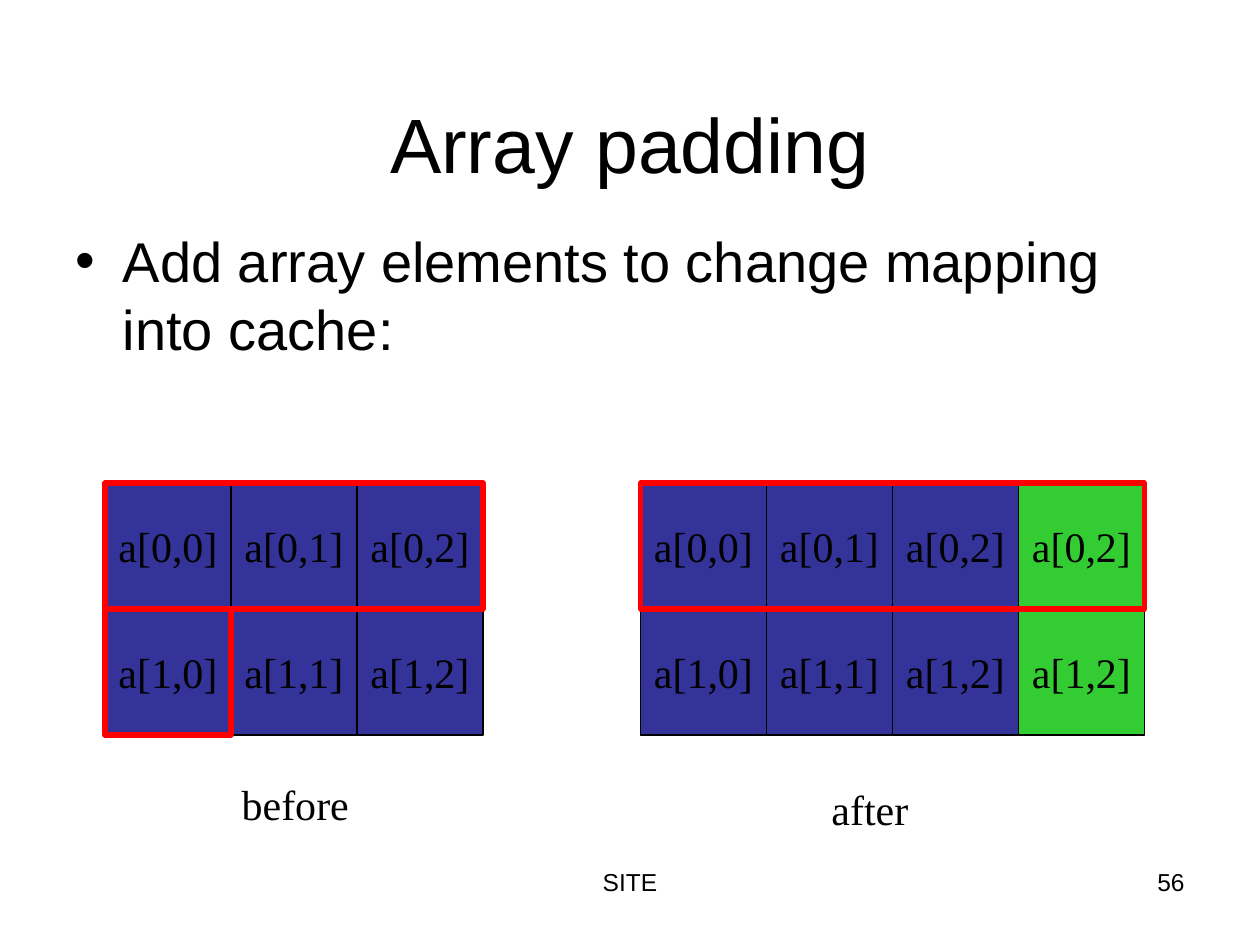
"""Build the array padding slide, with the array before and after padding."""
from dataclasses import dataclass

from pptx import Presentation
from pptx.dml.color import RGBColor
from pptx.enum import shapes, text
from pptx.util import Pt

BLACK = RGBColor(0x00, 0x00, 0x00)
INDIGO = RGBColor(0x33, 0x33, 0x99)
GREEN = RGBColor(0x33, 0xCC, 0x33)
RED = RGBColor(0xFF, 0x00, 0x00)

CELL = 72
GRID_TOP = 276
ROWS = 2
DATA_COLUMNS = 3


@dataclass(frozen=True)
class Box:
    left: float
    top: float
    width: float
    height: float

    def lengths(self) -> tuple:
        return Pt(self.left), Pt(self.top), Pt(self.width), Pt(self.height)


@dataclass(frozen=True)
class Label:
    wording: str
    box: Box
    size: float = 24
    face: str = "Times New Roman"
    align: text.PP_ALIGN = text.PP_ALIGN.LEFT
    wrap: bool = False


@dataclass(frozen=True)
class Array:
    left: float
    padding: int
    caption: Label


BEFORE = Array(60, 0, Label("before", Box(131, 441.5, 75.6, 36)))
AFTER = Array(366, 1, Label("after", Box(468, 444.25, 58.3, 36)))
FOOTERS = (
    Label("SITE", Box(246, 492, 228, 37.5), 14, "Arial", text.PP_ALIGN.CENTER, True),
    Label("56", Box(516, 492, 168, 37.5), 14, "Arial", text.PP_ALIGN.RIGHT, True),
)
TITLE = Label("Array padding", Box(36, 21.6, 648, 90), 44, "Arial", text.PP_ALIGN.CENTER, True)
BODY = Label("Add array elements to change mapping into cache:",
             Box(36, 126, 648, 99), 32, "Arial", wrap=True)


def write(holder, label: Label, anchor: text.MSO_ANCHOR) -> None:
    """Put a label's wording and format into a shape."""
    frame = holder.text_frame
    frame.text = label.wording
    paragraph = frame.paragraphs[0]
    formats = {
        frame: {"word_wrap": label.wrap, "auto_size": text.MSO_AUTO_SIZE.NONE,
                "vertical_anchor": anchor, "margin_left": Pt(7.2), "margin_right": Pt(7.2),
                "margin_top": Pt(3.6), "margin_bottom": Pt(3.6)},
        paragraph: {"alignment": label.align, "space_before": Pt(0)},
        paragraph.runs[0].font: {"size": Pt(label.size), "name": label.face},
    }
    for target, values in formats.items():
        for attribute, value in values.items():
            setattr(target, attribute, value)
    paragraph.runs[0].font.color.rgb = BLACK


def fill_placeholder(placeholder, label: Label, anchor: text.MSO_ANCHOR) -> None:
    """Move a placeholder and write its label."""
    for attribute, value in zip(("left", "top", "width", "height"), label.box.lengths()):
        setattr(placeholder, attribute, value)
    write(placeholder, label, anchor)


def add_label(slide, label: Label) -> None:
    """Add a free text label."""
    write(slide.shapes.add_textbox(*label.box.lengths()), label, text.MSO_ANCHOR.TOP)


def add_rectangle(parent, box: Box, stroke: RGBColor, weight: float):
    """Add an unfilled rectangle with a plain outline."""
    rectangle = parent.add_shape(shapes.MSO_SHAPE.RECTANGLE, *box.lengths())
    rectangle.shadow.inherit = False
    rectangle.fill.background()
    rectangle.line.color.rgb = stroke
    rectangle.line.width = Pt(weight)
    return rectangle


def add_array(slide, array: Array) -> None:
    """Add the cells of an array, its padding column and its caption."""
    for row in range(ROWS):
        for column in range(DATA_COLUMNS + array.padding):
            box = Box(array.left + column * CELL, GRID_TOP + row * CELL, CELL, CELL)
            cell = add_rectangle(slide.shapes, box, BLACK, 0.75)
            cell.fill.solid()
            cell.fill.fore_color.rgb = INDIGO if column < DATA_COLUMNS else GREEN
            index = min(column, DATA_COLUMNS - 1)
            label = Label(f"a[{row},{index}]", box, align=text.PP_ALIGN.CENTER)
            write(cell, label, text.MSO_ANCHOR.MIDDLE)
    add_label(slide, array.caption)


def add_cache_line(parent, array: Array, row: int, columns: int) -> None:
    """Outline the leading cells of a row that share a cache line."""
    box = Box(array.left, GRID_TOP + row * CELL, columns * CELL, CELL)
    add_rectangle(parent, box, RED, 3)


def main() -> None:
    """Build and save the slide."""
    deck = Presentation()
    deck.slide_width, deck.slide_height = Pt(720), Pt(540)
    slide = deck.slides.add_slide(deck.slide_layouts[1])
    fill_placeholder(slide.shapes.title, TITLE, text.MSO_ANCHOR.BOTTOM)
    fill_placeholder(slide.placeholders[1], BODY, text.MSO_ANCHOR.TOP)
    for footer in FOOTERS:
        add_label(slide, footer)
    for array in (BEFORE, AFTER):
        add_array(slide, array)
    wrapped_line = slide.shapes.add_group_shape().shapes
    add_cache_line(wrapped_line, BEFORE, 0, 3)
    add_cache_line(wrapped_line, BEFORE, 1, 1)
    add_cache_line(slide.shapes, AFTER, 0, 4)
    deck.save("out.pptx")


if __name__ == "__main__":
    main()
